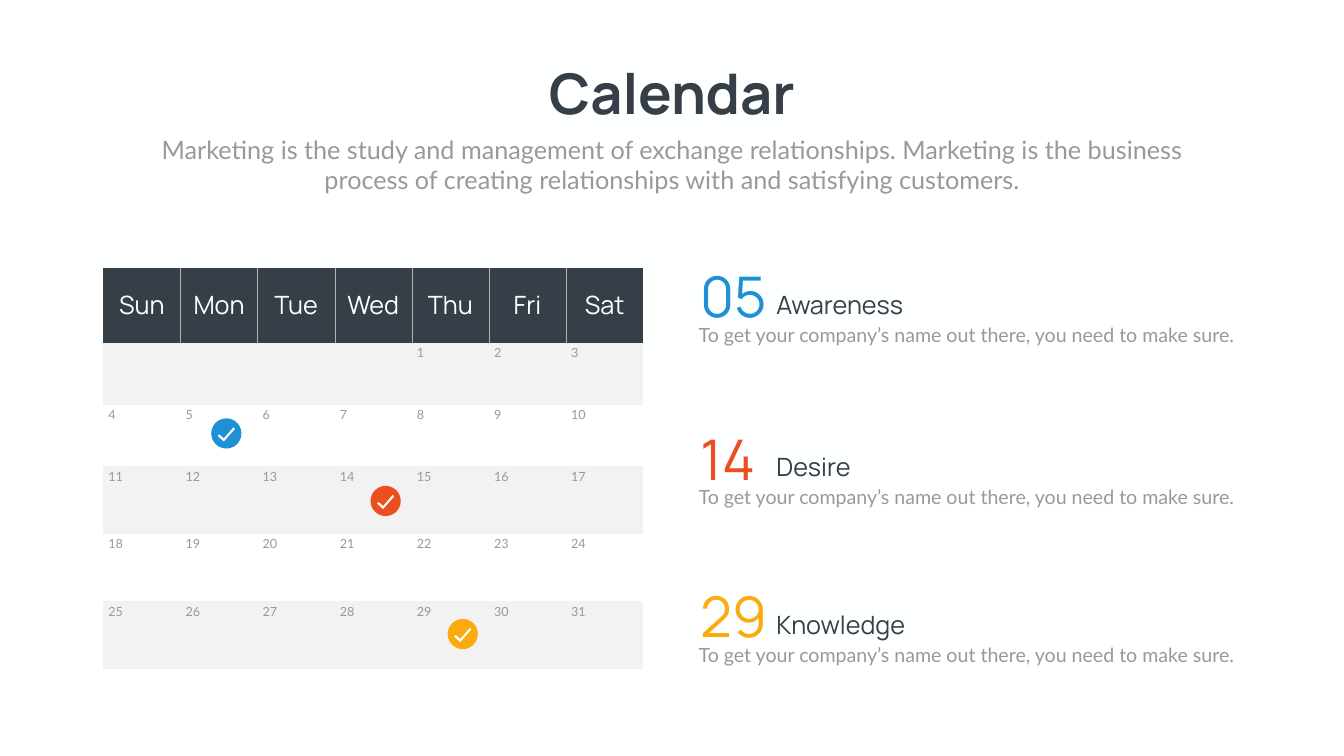
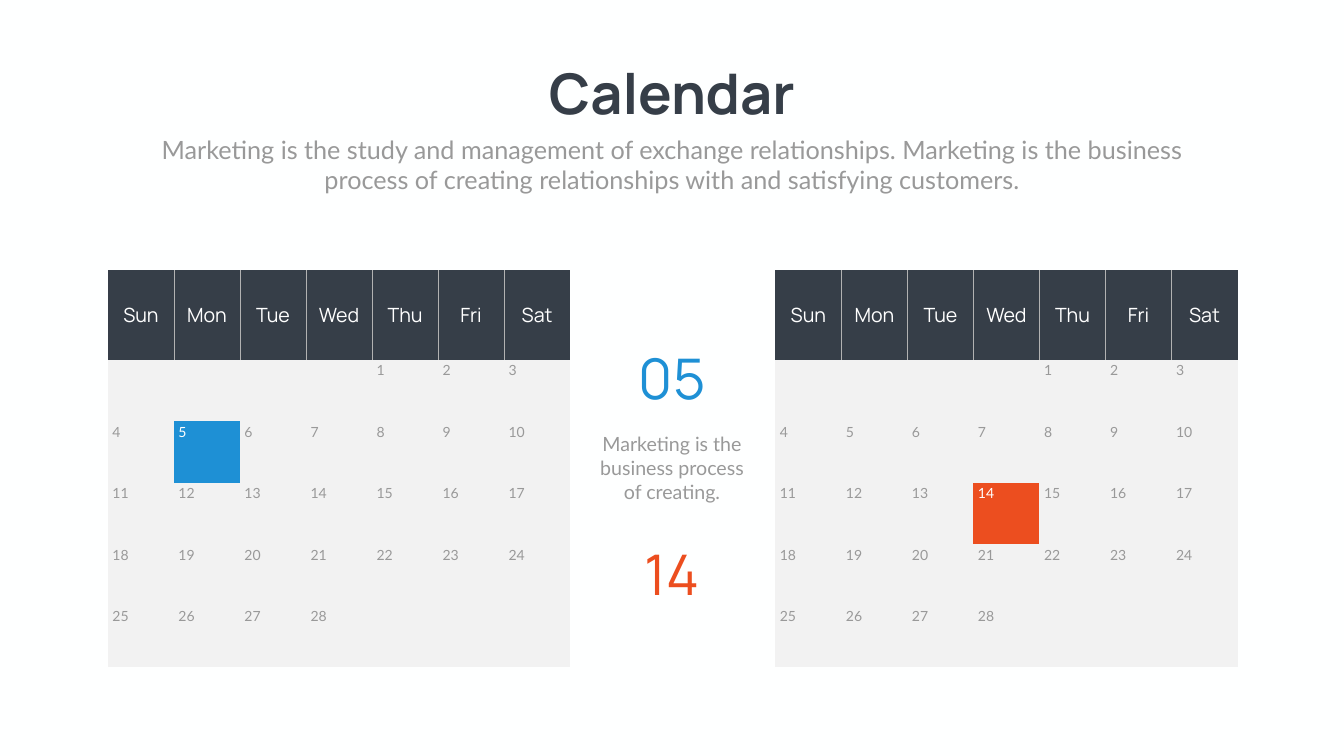
from lxml.etree import SubElement
from pptx import Presentation
from pptx.dml.color import RGBColor
from pptx.enum.shapes import MSO_SHAPE
from pptx.enum.text import MSO_ANCHOR, MSO_AUTO_SIZE, PP_ALIGN
from pptx.oxml.ns import qn
from pptx.util import Pt

PX = 9144
DARK, GREY, PALE, WHITE, RULE = "363E48", "999999", "F2F2F2", "FFFFFF", "B2B2B2"
BLUE, RED, GOLD = "1E90D5", "EC4E1F", "FBAA10"
HEAD, BODY = "Manrope", "Lato"
LEFT, MID = PP_ALIGN.LEFT, PP_ALIGN.CENTER
DAYS = ["Sun", "Mon", "Tue", "Wed", "Thu", "Fri", "Sat"]
PLAIN = "{2D5ABB26-0587-4C30-8999-92F81FD0307C}"


def hue(code):
    return RGBColor.from_string(code)


def write(frame, words, size, face, color, align=LEFT, tight=False):
    frame.text = words
    para = frame.paragraphs[0]
    para.alignment = align
    para.space_before = Pt(0)
    para.font.size = Pt(size)
    para.font.name = face
    para.font.color.rgb = hue(color)
    if tight:
        para.line_spacing = 0.9
        frame.vertical_anchor = MSO_ANCHOR.MIDDLE
        frame.margin_left = frame.margin_right = 0
        frame.margin_top = frame.margin_bottom = 0


deck = Presentation()
deck.slide_width, deck.slide_height = 2666 * PX, 1500 * PX

slides = []
for _ in range(2):
    slide = deck.slides.add_slide(deck.slide_layouts[0])
    slide.background.fill.solid()
    slide.background.fill.fore_color.rgb = hue("FEFFFF")
    title, intro = slide.placeholders
    for box, place in ((title, (1053, 112, 560, 145)), (intro, (292, 261, 2082, 131))):
        box.left, box.top, box.width, box.height = [n * PX for n in place]
        box.text_frame.auto_size = MSO_AUTO_SIZE.SHAPE_TO_FIT_TEXT
        box.text_frame.vertical_anchor = MSO_ANCHOR.TOP
    write(title.text_frame, "Calendar", 80, HEAD, DARK, MID)
    title.text_frame.word_wrap = False
    title.text_frame.paragraphs[0].font.bold = True
    write(
        intro.text_frame,
        "Marketing is the study and management of exchange relationships. "
        "Marketing is the business process of creating relationships with "
        "and satisfying customers.",
        36, BODY, GREY, MID,
    )
    slides.append(slide)
first, second = slides

months = [
    (first, 205, 531, 153, [149, 123, 122, 134, 134, 134], 31, 36, 18, WHITE, {}, (10, 5)),
    (second, 1538, 536, 131, [178] + [122] * 5, 28, 28, 20, PALE, {14: RED}, (9, 4)),
    (second, 214, 536, 131, [178] + [122] * 5, 28, 28, 20, PALE, {5: BLUE}, (9, 4)),
]
for slide, x, y, wide, rows, last, big, small, even, marks, pad in months:
    table = slide.shapes.add_table(
        6, 7, x * PX, y * PX, 7 * wide * PX, sum(rows) * PX
    ).table
    table.first_row = table.horz_banding = False
    table._tbl.tblPr.find(qn("a:tableStyleId")).text = PLAIN
    for col in table.columns:
        col.width = wide * PX
    for r, tall in enumerate(rows):
        table.rows[r].height = tall * PX
        for c, name in enumerate(DAYS):
            cell = table.cell(r, c)
            cell.margin_left = cell.margin_right = pad[0] * PX
            cell.margin_top = cell.margin_bottom = pad[1] * PX
            day = 7 * (r - 1) + c - 3
            fill = marks.get(day, PALE if r % 2 else even)
            if r == 0:
                fill = DARK
                write(cell.text_frame, name, big, HEAD, WHITE, MID)
                cell.vertical_anchor = MSO_ANCHOR.MIDDLE
                for tag, shown in (("a:lnL", c > 0), ("a:lnR", c < 6)):
                    if shown:
                        line = SubElement(cell._tc.get_or_add_tcPr(), qn(tag), w="6350")
                        paint = SubElement(line, qn("a:solidFill"))
                        SubElement(paint, qn("a:srgbClr"), val=RULE)
            elif 1 <= day <= last:
                ink = WHITE if day in marks else GREY
                write(cell.text_frame, str(day), small, BODY, ink)
            cell.fill.solid()
            cell.fill.fore_color.rgb = hue(fill)

for x, y, color in ((735, 964, RED), (419, 830, BLUE), (888, 1228, GOLD)):
    badge = first.shapes.add_group_shape().shapes
    disc = badge.add_shape(MSO_SHAPE.OVAL, x * PX, y * PX, 60 * PX, 60 * PX)
    pen = badge.build_freeform(x + 44, y + 18, scale=PX)
    tick = [(47, 21), (25, 46), (13, 35), (16, 32), (25, 40)]
    pen.add_line_segments([(x + dx, y + dy) for dx, dy in tick])
    for shape, fill in ((disc, color), (pen.convert_to_shape(), WHITE)):
        shape.shadow.inherit = False
        shape.fill.solid()
        shape.fill.fore_color.rgb = hue(fill)
        shape.line.fill.background()

notes = []
stages = [
    (531, "05", "Awareness", BLUE),
    (854, "14", "Desire", RED),
    (1166, "29", "Knowledge", GOLD),
]
for y, num, name, color in stages:
    notes += [
        (first, (1389, y, 187, 125), num, 80, HEAD, color, LEFT, True),
        (first, (1540, y + 48, 339, 56), name, 36, HEAD, DARK, LEFT, True),
        (first, (1376, y + 104, 1113, 57),
         "To get your company’s name out there, you need to make sure.",
         28, BODY, GREY, LEFT, False),
    ]
notes += [
    (second, (1240, 694, 187, 125), "05", 80, HEAD, BLUE, MID, True),
    (second, (1240, 1083, 187, 125), "14", 80, HEAD, RED, MID, True),
    (second, (1160, 853, 346, 151), "Marketing is the business process of creating.",
     28, BODY, GREY, MID, False),
]
for slide, place, *style in notes:
    frame = slide.shapes.add_textbox(*[n * PX for n in place]).text_frame
    frame.word_wrap = True
    frame.auto_size = MSO_AUTO_SIZE.SHAPE_TO_FIT_TEXT
    write(frame, *style)

deck.save("out.pptx")
